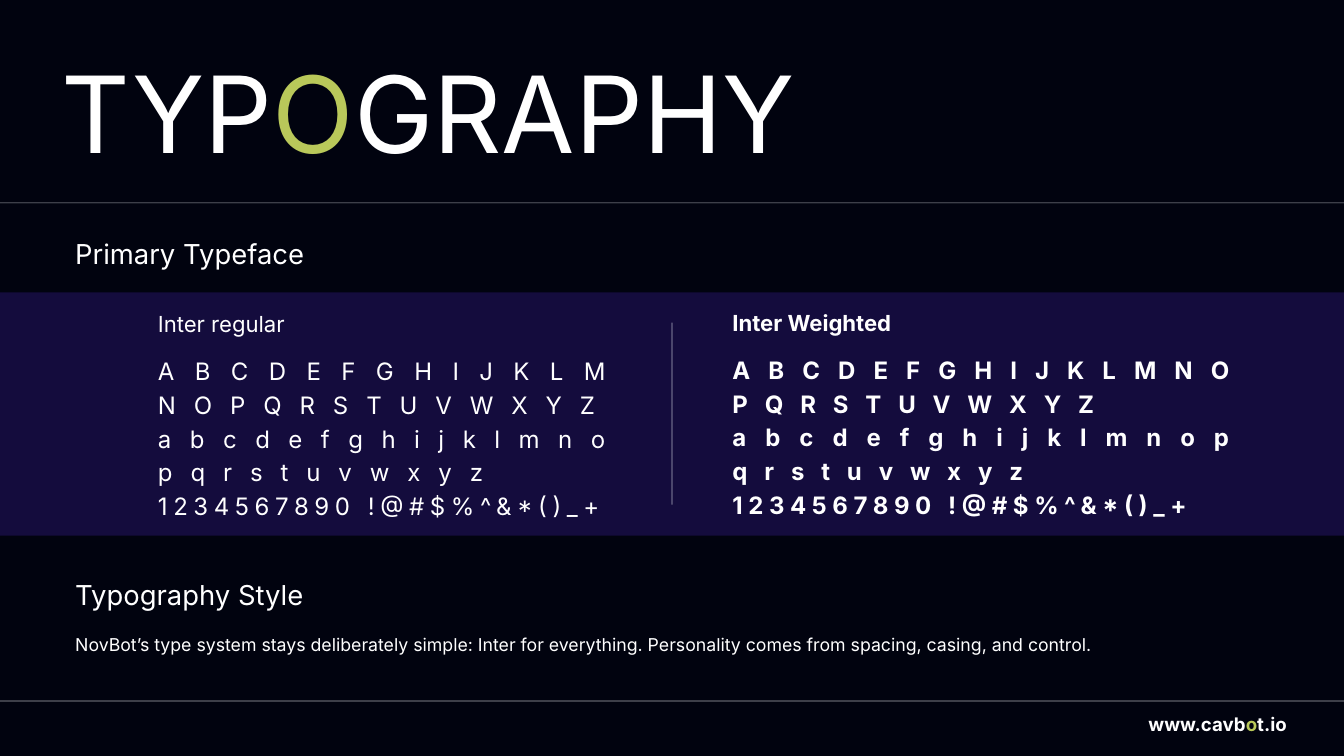
from lxml import etree
from pptx import Presentation
from pptx.dml.color import RGBColor
from pptx.enum import shapes, text
from pptx.oxml.ns import qn
from pptx.util import Pt

NIGHT = RGBColor(0x01, 0x03, 0x0F)
INDIGO = RGBColor(0x14, 0x0C, 0x3D)
WHITE = RGBColor(0xFF, 0xFF, 0xFF)
LIME = RGBColor(0xB9, 0xC8, 0x5A)
MIST = RGBColor(0xF7, 0xFB, 0xFF)
FONT = "Inter"
WIDE, HIGH = 1440, 810
MID = WIDE / 2

TITLE = "TYP|O|GRAPHY"
SITE = "www.cavb|o|t.io"
STYLE = (
    "NovBot’s type system stays deliberately simple: Inter for everything. "
    "Personality comes from spacing, casing, and control."
)
GLYPHS = [
    "A B C D E F G H I J K L M N O P Q R S T U V W X Y Z",
    "a b c d e f g h i j k l m n o p q r s t u v w x y z",
    "1234567890 !@#$%^&*()_+",
]
HEADS = [("Primary Typeface", 247.7), ("Typography Style", 613.4)]
FACES = [
    ("Inter regular", False, 169.2, 328.3, 486),
    ("Inter Weighted", True, 784.8, 326.9, 538.6),
]
RULES = [
    (0, 217.4, WIDE, 217.4),
    (MID, 345.6, MID, 540.7),
    (0, 751, WIDE, 751),
]


def write(box, lines, at, size, lead, bold=False, gap=0, just=False):
    box.left, box.top, box.width, box.height = [Pt(v) for v in at]
    frame = box.text_frame
    frame.word_wrap = True
    frame.auto_size = text.MSO_AUTO_SIZE.NONE
    frame.vertical_anchor = text.MSO_ANCHOR.TOP
    frame.margin_left = frame.margin_right = 0
    frame.margin_top = frame.margin_bottom = 0
    for i, line in enumerate(lines):
        para = frame.add_paragraph() if i else frame.paragraphs[0]
        props = para._p.get_or_add_pPr()
        props.set("marL", "0")
        props.set("indent", "0")
        etree.SubElement(props, qn("a:buNone"))
        para.alignment = text.PP_ALIGN.JUSTIFY if just else text.PP_ALIGN.LEFT
        para.line_spacing = Pt(lead)
        para.space_before = Pt(0)
        for j, part in enumerate(line.split("|")):
            run = para.add_run()
            run.text = part
            font = run.font
            font.name, font.size, font.bold = FONT, Pt(size), bold
            font.color.rgb = LIME if j % 2 else WHITE
            if gap:
                run._r.get_or_add_rPr().set("spc", str(gap * 100))


def label(slide, line, at, size, lead, **form):
    box = slide.shapes.add_textbox(0, 0, 0, 0)
    write(box, [line], at, size, lead, **form)


def rule(slide, ends):
    line = slide.shapes.add_connector(
        shapes.MSO_CONNECTOR.STRAIGHT, *[Pt(v) for v in ends]
    )
    line.line.width = Pt(0.75)
    line.line.color.rgb = MIST
    props = line._element.spPr
    tint = props.find(".//" + qn("a:srgbClr"))
    etree.SubElement(tint, qn("a:alpha")).set("val", "70000")
    etree.SubElement(props, qn("a:effectLst"))


def main():
    deck = Presentation()
    deck.slide_width, deck.slide_height = Pt(WIDE), Pt(HIGH)
    slide = deck.slides.add_slide(deck.slide_layouts[3])
    fill = slide.background.fill
    fill.solid()
    fill.fore_color.rgb = NIGHT

    band = slide.shapes.add_shape(
        shapes.MSO_SHAPE.RECTANGLE, 0, Pt(313.2), Pt(WIDE), Pt(260.6)
    )
    band.shadow.inherit = False
    band.fill.solid()
    band.fill.fore_color.rgb = INDIGO
    band.line.fill.background()
    slide.shapes._spTree.insert(2, band._element)

    title, *cols = slide.placeholders
    write(title, [TITLE], (66.2, 28.1, 1094.4, 153.4), 114, 159.6)
    for head, top in HEADS:
        label(slide, head, (80.6, top, 302, 39), 29.4, 41.2)
    for col, (name, bold, left, top, wide) in zip(cols, FACES):
        label(slide, name, (left, top, 496.8, 33), 23.7, 33.1, bold=bold, just=True)
        write(col, GLYPHS, (left, top + 49, wide, 175), 25.7, 36,
              bold=bold, gap=6, just=True)
    label(slide, STYLE, (80.6, 675.4, 1114.6, 25), 19, 26.6, just=True)
    for ends in RULES:
        rule(slide, ends)
    label(slide, SITE, (1230.5, 759.6, 153.4, 26.6), 20, 28, bold=True)
    deck.save("out.pptx")


if __name__ == "__main__":
    main()
